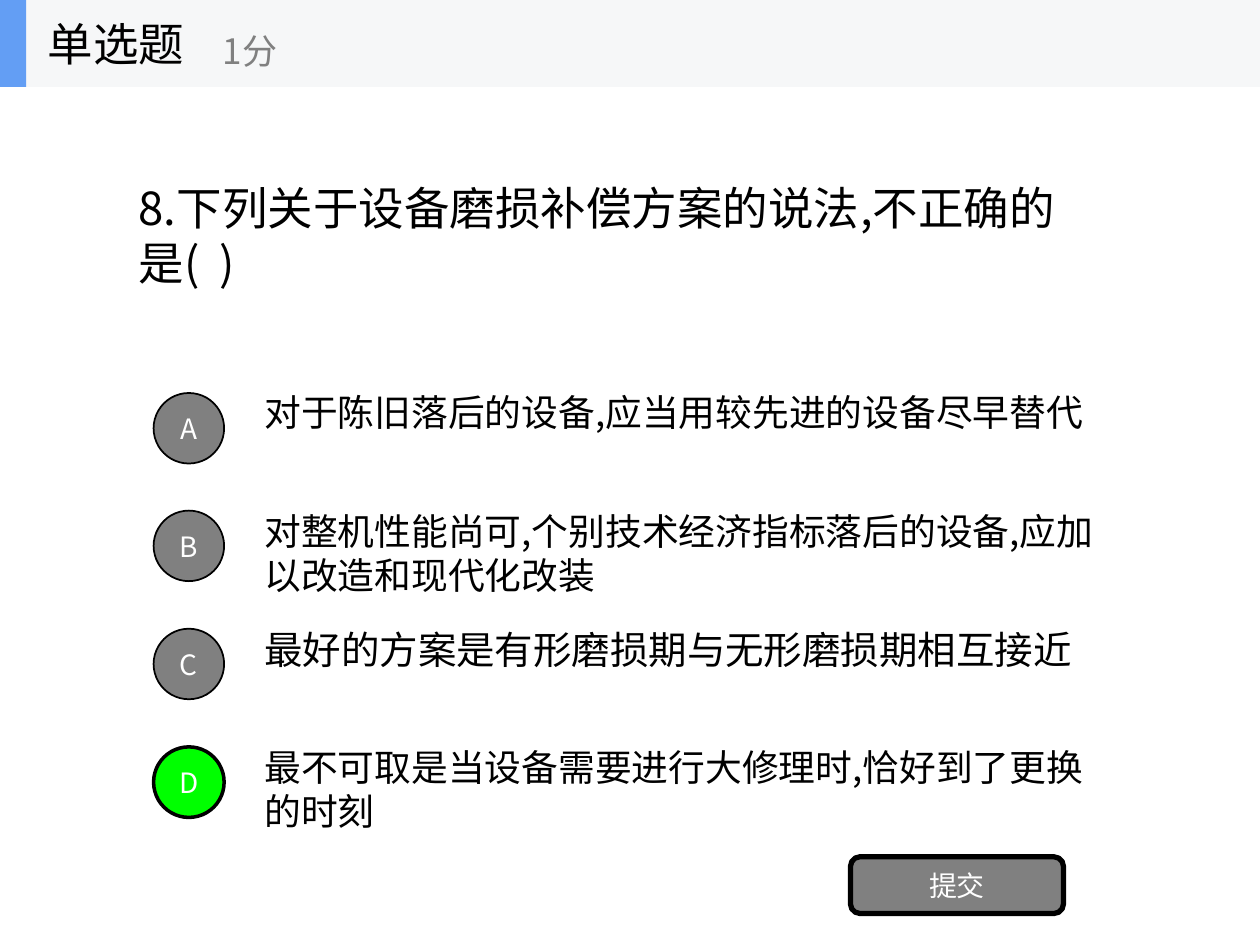
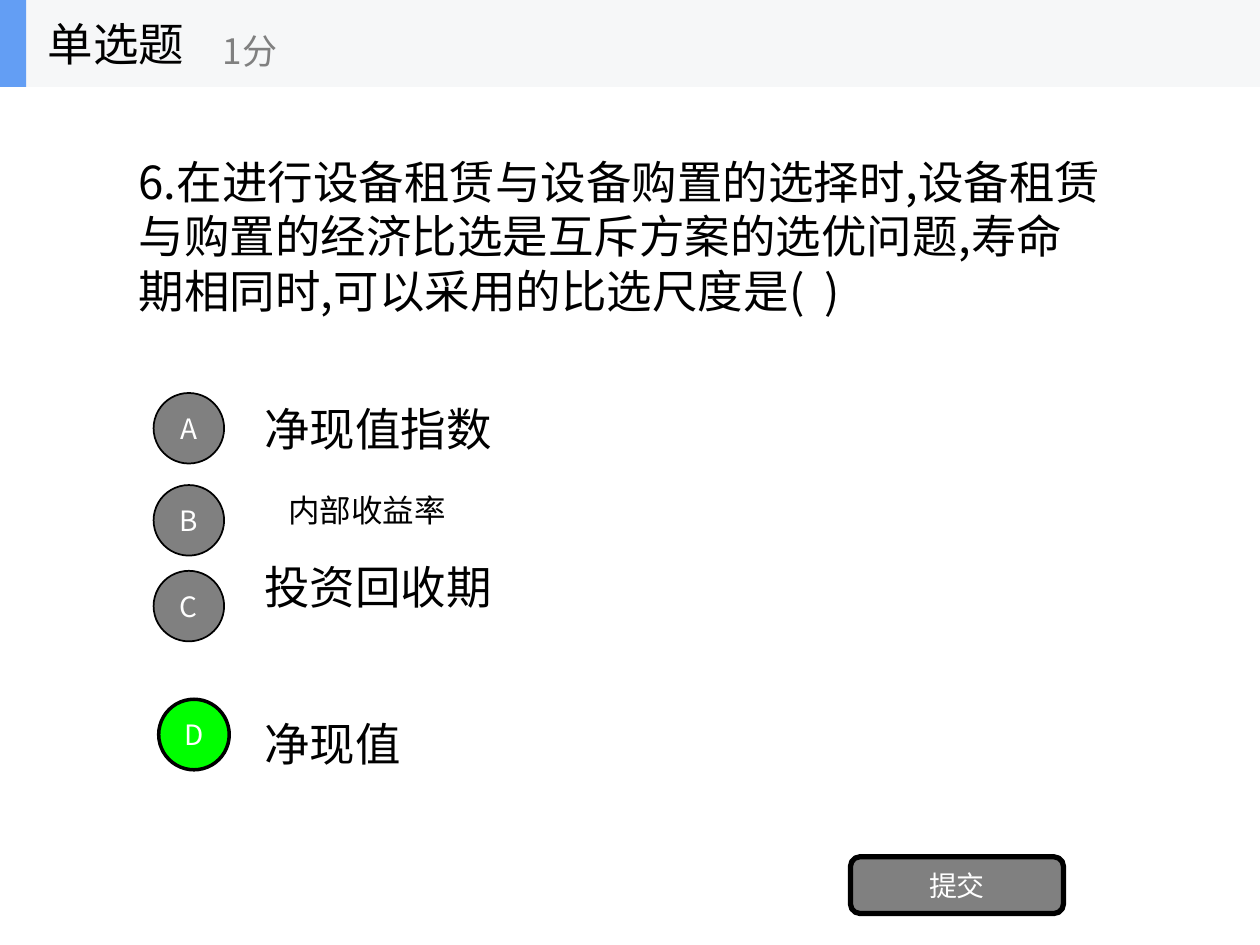
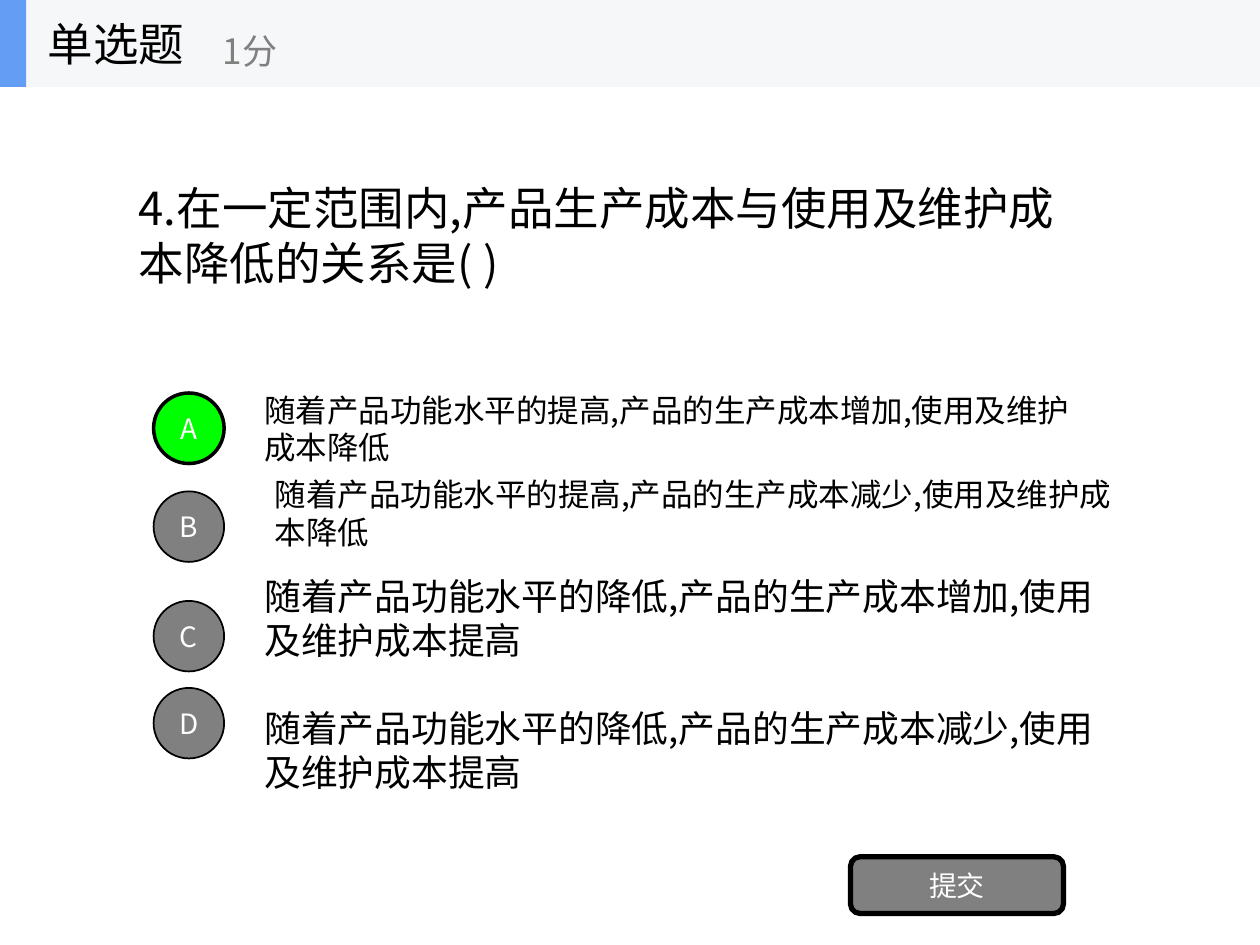
from dataclasses import dataclass

from lxml.etree import SubElement
from pptx import Presentation
from pptx.dml.color import RGBColor
from pptx.enum.shapes import MSO_SHAPE
from pptx.enum.text import MSO_ANCHOR, MSO_AUTO_SIZE, PP_ALIGN
from pptx.oxml.ns import qn
from pptx.util import Pt


@dataclass(frozen=True)
class Theme:
    face: str = "Noto Sans CJK SC"
    ink: str = "000000"
    white: str = "FFFFFF"
    gray: str = "808080"
    right: str = "00FF00"
    band: str = "F6F7F8"
    accent: str = "639EF4"
    head: int = 26
    score: int = 20
    large: int = 22
    body: int = 21
    small: int = 18
    label: int = 16


@dataclass(frozen=True)
class Option:
    text: str
    box: tuple
    size: int
    mark: float  # top of the letter badge
    left: float = 87.8  # left of the letter badge


@dataclass(frozen=True)
class Quiz:
    ask: str
    box: tuple
    answer: str
    options: tuple


THEME = Theme()
BADGE = 40.3
BAND = 49.7
FRAME = {
    "word_wrap": True,
    "auto_size": MSO_AUTO_SIZE.NONE,
    "vertical_anchor": MSO_ANCHOR.MIDDLE,
    "margin_left": Pt(7.2),
    "margin_right": Pt(7.2),
    "margin_top": Pt(3.6),
    "margin_bottom": Pt(3.6),
}

QUIZZES = (
    Quiz(
        "8.下列关于设备磨损补偿方案的说法,不正确的是(  )",
        (72, 99.4, 562.3, 69.8),
        "D",
        (
            Option("对于陈旧落后的设备,应当用较先进的设备尽早替代",
                   (144, 206.6, 488.9, 57.6), THEME.body, 224.6),
            Option("对整机性能尚可,个别技术经济指标落后的设备,应加以改造和现代化改装",
                   (144, 287.3, 488.9, 57.6), THEME.body, 291.8),
            Option("最好的方案是有形磨损期与无形磨损期相互接近",
                   (144, 354.2, 482.4, 33.8), THEME.large, 359.3),
            Option("最不可取是当设备需要进行大修理时,恰好到了更换的时刻",
                   (144, 421.9, 488.9, 57.6), THEME.body, 426.8),
        ),
    ),
    Quiz(
        "6.在进行设备租赁与设备购置的选择时,设备租赁与购置的经济比选是互斥方案的选优问题,"
        "寿命期相同时,可以采用的比选尺度是(  )",
        (72, 84.2, 566.6, 100.8),
        "D",
        (
            Option("净现值指数", (144, 225.4, 304.6, 38.9), THEME.head, 224.6),
            Option("内部收益率", (157.7, 277.2, 106, 28.8), THEME.small, 277.2),
            Option("投资回收期", (144, 315.4, 151.9, 38.9), THEME.head, 326.2),
            Option("净现值", (144, 405.4, 100.1, 38.9), THEME.head, 399.6, 90.7),
        ),
    ),
    Quiz(
        "4.在一定范围内,产品生产成本与使用及维护成本降低的关系是( )",
        (72, 99.4, 562.3, 69.8),
        "A",
        (
            Option("随着产品功能水平的提高,产品的生产成本增加,使用及维护成本降低",
                   (144, 219.6, 488.9, 50.4), THEME.small, 224.6),
            Option("随着产品功能水平的提高,产品的生产成本减少,使用及维护成本降低",
                   (149.8, 267.8, 498.2, 50.4), THEME.small, 280.8),
            Option("随着产品功能水平的降低,产品的生产成本增加,使用及维护成本提高",
                   (144, 324, 488.9, 57.6), THEME.body, 343.4),
            Option("随着产品功能水平的降低,产品的生产成本减少,使用及维护成本提高",
                   (144, 399.6, 488.9, 57.6), THEME.body, 393.1),
        ),
    ),
)


def write(shape, text, size, color=THEME.ink, align=PP_ALIGN.LEFT):
    frame = shape.text_frame
    for name, value in FRAME.items():
        setattr(frame, name, value)
    para = frame.paragraphs[0]
    para.alignment = align
    run = para.add_run()
    run.text = text
    run.font.size = Pt(size)
    run.font.name = THEME.face
    run.font.color.rgb = RGBColor.from_string(color)
    # East Asian glyphs take their face from a separate element
    SubElement(run.font._element, qn("a:ea"), typeface=THEME.face)


def label(shapes, text, box, size, color=THEME.ink):
    write(shapes.add_textbox(*map(Pt, box)), text, size, color)


def block(shapes, kind, box, fill, line=0):
    shape = shapes.add_shape(kind, *map(Pt, box))
    shape.shadow.inherit = False
    shape.fill.solid()
    shape.fill.fore_color.rgb = RGBColor.from_string(fill)
    if line:
        shape.line.color.rgb = RGBColor.from_string(THEME.ink)
        shape.line.width = Pt(line)
    else:
        shape.line.fill.background()
    return shape


def button(shapes, kind, text, box, fill, line):
    shape = block(shapes, kind, box, fill, line)
    write(shape, text, THEME.label, THEME.white, PP_ALIGN.CENTER)


def header(slide):
    shapes = slide.shapes.add_group_shape().shapes
    block(shapes, MSO_SHAPE.RECTANGLE, (0, 0, 720, BAND), THEME.band)
    block(shapes, MSO_SHAPE.RECTANGLE, (0, 0, 15, BAND), THEME.accent)
    label(shapes, "单选题", (20.2, 0, 149.8, BAND), THEME.head)
    label(shapes, "1分", (120.2, 8.6, 180, 40.3), THEME.score, THEME.gray)


def question(slide, quiz):
    title = slide.shapes.title
    title.left, title.top, title.width, title.height = map(Pt, quiz.box)
    write(title, quiz.ask, THEME.head)


def choice(slide, letter, option, correct):
    label(slide.shapes, option.text, option.box, option.size)
    fill, line = (THEME.right, 2) if correct else (THEME.gray, 1)
    box = (option.left, option.mark, BADGE, BADGE)
    button(slide.shapes, MSO_SHAPE.OVAL, letter, box, fill, line)


def main():
    deck = Presentation()
    deck.slide_width, deck.slide_height = Pt(720), Pt(540)
    layout = deck.slide_layouts.get_by_name("Title Only")
    for quiz in QUIZZES:
        slide = deck.slides.add_slide(layout)
        question(slide, quiz)
        for letter, option in zip("ABCD", quiz.options):
            choice(slide, letter, option, letter == quiz.answer)
        button(slide.shapes, MSO_SHAPE.ROUNDED_RECTANGLE, "提交",
               (486, 489.6, 121.7, 32.4), THEME.gray, 3)
        header(slide)
    deck.save("out.pptx")


if __name__ == "__main__":
    main()
